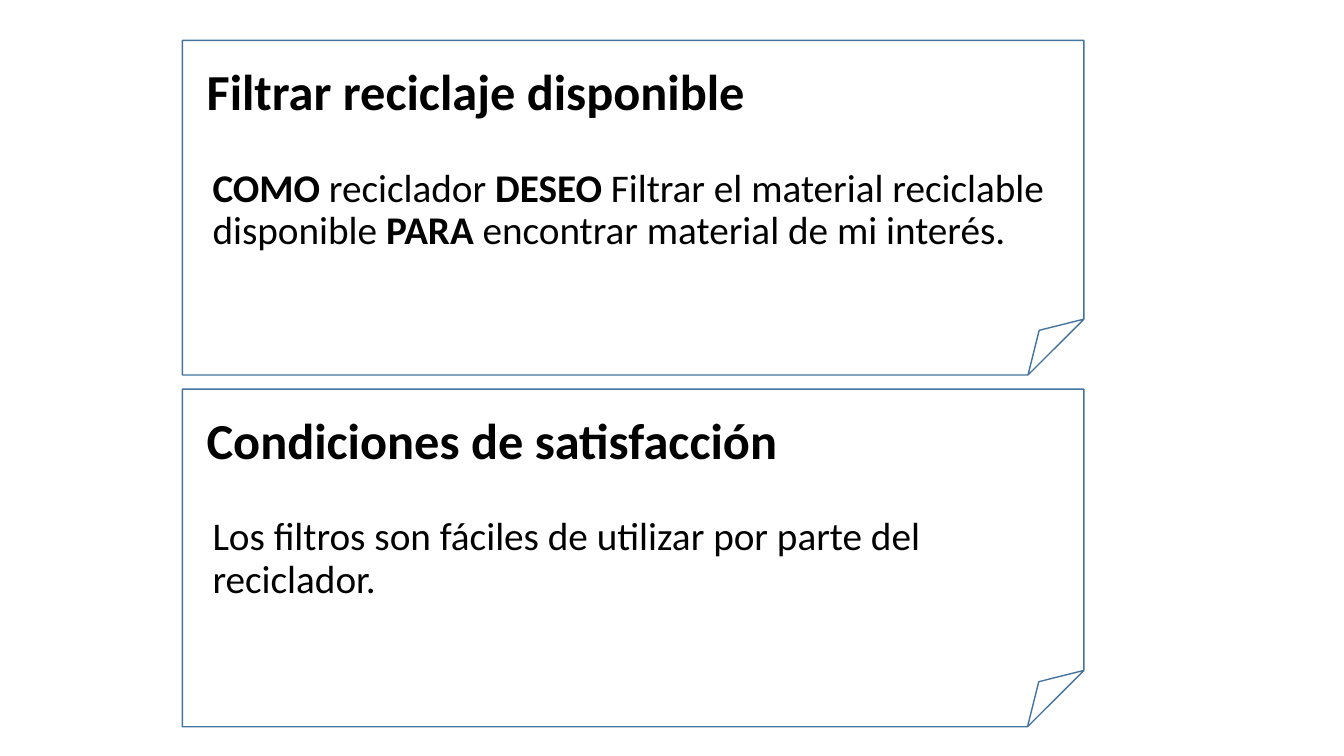
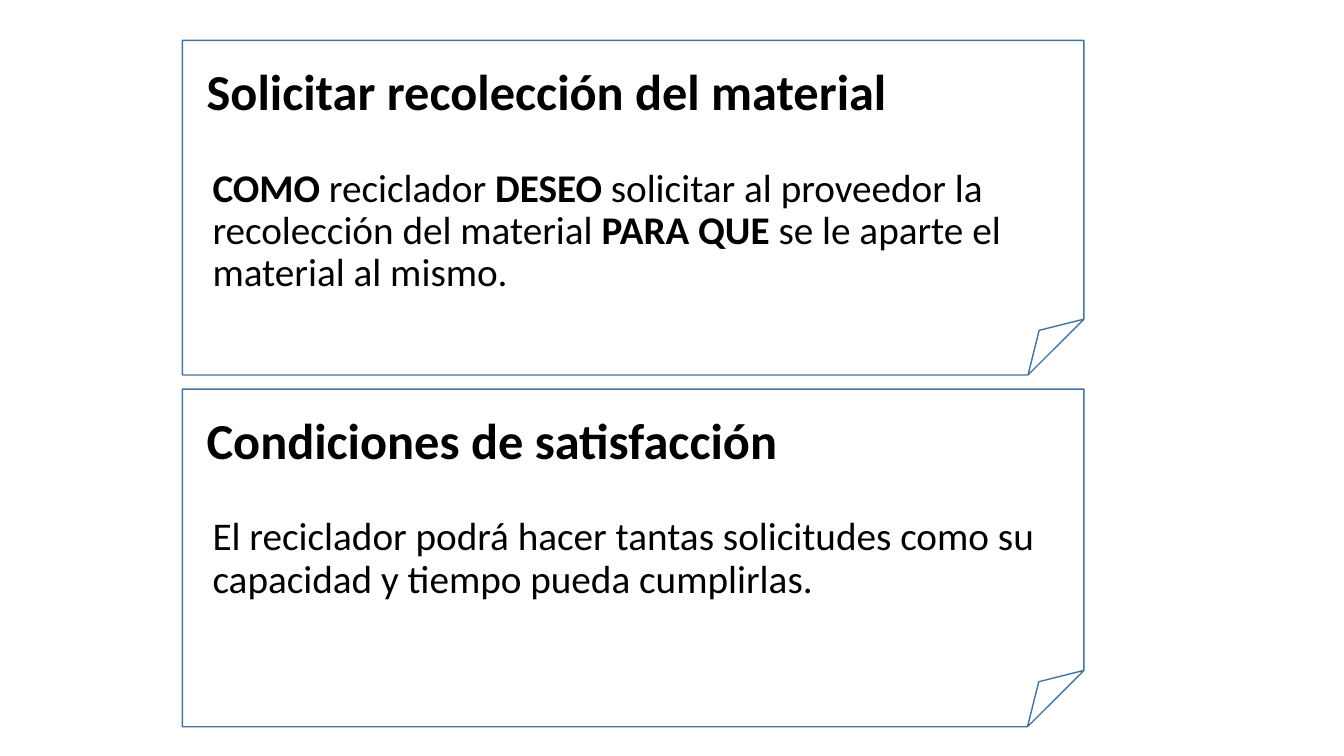
from pptx import Presentation
from pptx.dml.color import RGBColor
from pptx.enum.shapes import MSO_SHAPE as SHAPE
from pptx.enum.text import MSO_ANCHOR as ANCHOR, MSO_AUTO_SIZE as FIT, PP_ALIGN as ALIGN
from pptx.util import Inches, Pt

# Text between asterisks is bold.
CONDITIONS = "Condiciones de satisfacción"
STORIES = [
    ("Filtrar reciclaje disponible",
     "*COMO *reciclador *DESEO* Filtrar el material reciclable disponible "
     "*PARA* encontrar material de mi interés.",
     "Los filtros son fáciles de utilizar por parte del reciclador."),
    ("Solicitar recolección del material",
     "*COMO *reciclador *DESEO* solicitar al proveedor la recolección del material "
     "*PARA QUE *se le aparte el material al mismo.",
     "El reciclador podrá hacer tantas solicitudes como su capacidad y tiempo "
     "pueda cumplirlas."),
]

FONT = "Calibri"
BLACK = RGBColor(0x00, 0x00, 0x00)
BLUE = RGBColor(0x43, 0x73, 0x9E)

SLIDE_W, SLIDE_H = 13.33, 7.5
CARD_X, CARD_W = 1.81, 8.94
CARDS = [(0.4, 3.32), (3.86, 3.35)]  # top, height
HEADING_X, HEADING_H = 1.95, 0.53
HEADING_W = SLIDE_W - HEADING_X
BODY_X, BODY_W, BODY_H = 2.01, 8.53, 1.45
HEADING_DY, BODY_DY = 0.27, 1.22  # offsets from the card's top


def place(sp, x, y, w, h):
    """Set a shape's position and size in inches."""
    sp.left, sp.top, sp.width, sp.height = map(Inches, (x, y, w, h))


def write(sp, text, size, anchor, before=0, bold=False):
    """Write one left-aligned paragraph, with bold parts between asterisks."""
    tf = sp.text_frame
    tf.word_wrap, tf.auto_size, tf.vertical_anchor = True, FIT.NONE, anchor
    p = tf.paragraphs[0]
    p.alignment, p.line_spacing, p.space_before = ALIGN.LEFT, 0.9, Pt(before)
    p.font.name, p.font.size, p.font.bold = FONT, Pt(size), bold
    p.font.color.rgb = BLACK
    for i, part in enumerate(text.split("*")):
        if part:
            r = p.add_run()
            r.text = part
            if i % 2:
                r.font.bold = True


def add_card(slide, top, height, heading, title, body):
    """Draw a folded card with its heading and body text."""
    card = slide.shapes.add_shape(SHAPE.FOLDED_CORNER, 0, 0, 0, 0)
    place(card, CARD_X, top, CARD_W, height)
    card.shadow.inherit = False
    card.fill.background()
    card.line.color.rgb, card.line.width = BLUE, Pt(1)

    heading = heading or slide.shapes.add_textbox(0, 0, 0, 0)
    place(heading, HEADING_X, top + HEADING_DY, HEADING_W, HEADING_H)
    write(heading, title, 36, ANCHOR.MIDDLE, bold=True)

    text = slide.shapes.add_textbox(0, 0, 0, 0)
    place(text, BODY_X, top + BODY_DY, BODY_W, BODY_H)
    write(text, body, 28, ANCHOR.TOP, before=10)


prs = Presentation()
prs.slide_width, prs.slide_height = Inches(SLIDE_W), Inches(SLIDE_H)
title_only = prs.slide_layouts.get_by_name("Title Only")
for title, story, condition in STORIES:
    slide = prs.slides.add_slide(title_only)
    add_card(slide, *CARDS[0], slide.shapes.title, title, story)
    add_card(slide, *CARDS[1], None, CONDITIONS, condition)
prs.save("out.pptx")
